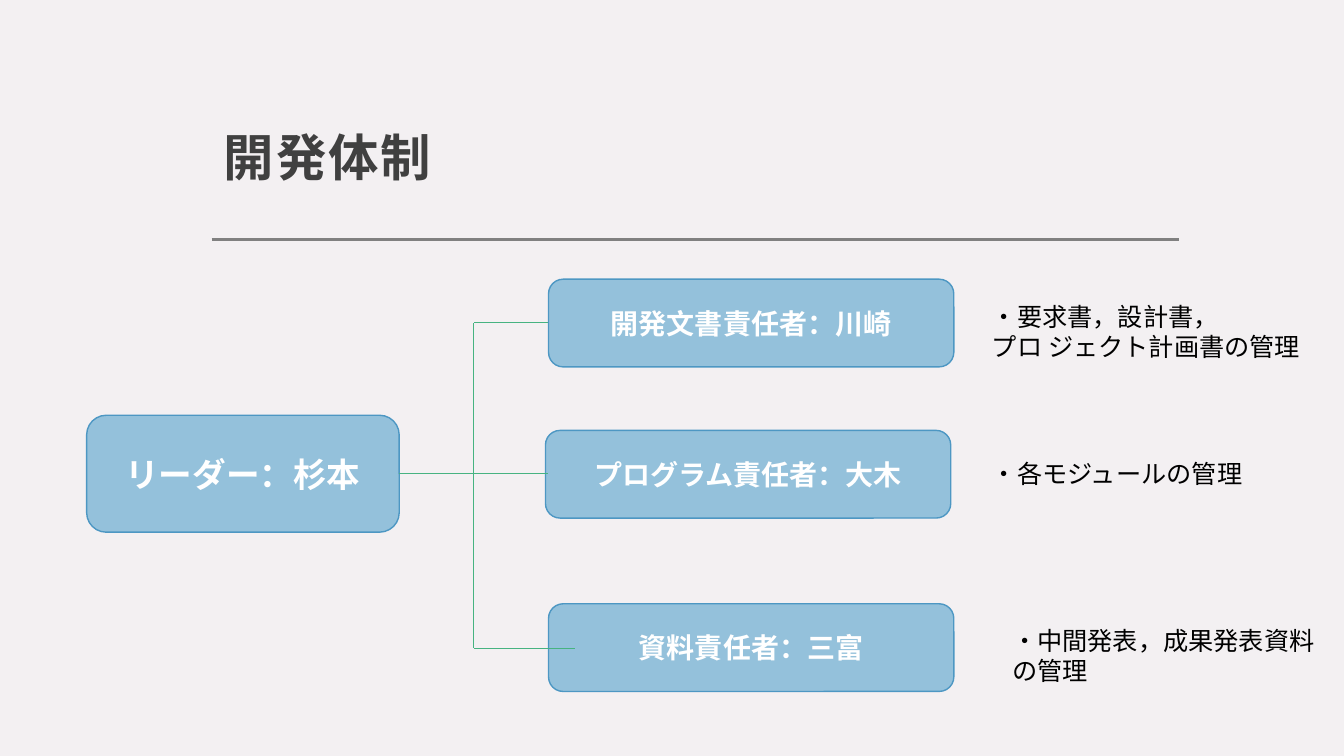
import pptx
import pptx.util
import pptx.dml.color
import pptx.enum.shapes
import pptx.enum.text
import pptx.oxml
import pptx.oxml.ns
import lxml.etree

RGBColor = pptx.dml.color.RGBColor
MSO_SHAPE = pptx.enum.shapes.MSO_SHAPE
ANCHOR = pptx.enum.text.MSO_ANCHOR
ALIGN = pptx.enum.text.PP_ALIGN
qn = pptx.oxml.ns.qn

BACKGROUND = RGBColor(0xF3, 0xF0, 0xF2)
RULE = RGBColor(0x80, 0x80, 0x80)
TITLE = RGBColor(0x40, 0x40, 0x40)
BOX_FILL = RGBColor(0x94, 0xC1, 0xDB)
BOX_LINE = RGBColor(0x4D, 0x97, 0xC3)
BRANCH = RGBColor(0x46, 0xB3, 0x81)
WHITE = RGBColor(0xFF, 0xFF, 0xFF)
BLACK = RGBColor(0x00, 0x00, 0x00)
FONT = "Noto Sans CJK JP"
EMU_PER_PX = 9144

TRUNK_X = 470
LEADER_Y = 470
BOX_W, BOX_H = 402, 87

ROLES = [
    ("開発文書責任者：川崎", 544, 277),
    ("プログラム責任者：大木", 541, 427),
    ("資料責任者：三富", 544, 599),
]
DUTIES = [
    (["・要求書，設計書，", "プロ ジェクト計画書の管理"], 974, 294, 336, 71),
    (["・各モジュールの管理"], 974, 450, 306, 40),
    (["・中間発表，成果発表資料の管理"], 994, 615, 336, 71),
]
BRANCHES = [
    (396, LEADER_Y, 544, LEADER_Y),
    (TRUNK_X, LEADER_Y, TRUNK_X, 320),
    (TRUNK_X, 320, 544, 320),
    (TRUNK_X, LEADER_Y, TRUNK_X, 643),
    (TRUNK_X, 643, 570, 643),
]


def px(n):
    return pptx.util.Emu(n * EMU_PER_PX)


def add_run(p, text, size, color, bold=False):
    r = p.add_run()
    r.text = text
    r.font.size = pptx.util.Pt(size)
    r.font.bold = bold
    r.font.color.rgb = color
    r.font.name = FONT
    ea = lxml.etree.SubElement(r.font._element, qn("a:ea"))
    ea.set("typeface", FONT)
    return r


def add_line(s, x1, y1, x2, y2, color, width):
    sp = s.shapes.add_connector(
        pptx.enum.shapes.MSO_CONNECTOR.STRAIGHT, px(x1), px(y1), px(x2), px(y2))
    sp.line.color.rgb = color
    sp.line.width = pptx.util.Pt(width)
    lxml.etree.SubElement(sp._element.spPr, qn("a:effectLst"))


def add_box(s, text, x, y, w, h, size):
    sp = s.shapes.add_shape(MSO_SHAPE.ROUNDED_RECTANGLE, px(x), px(y), px(w), px(h))
    sp.shadow.inherit = False
    sp.fill.solid()
    sp.fill.fore_color.rgb = BOX_FILL
    sp.line.color.rgb = BOX_LINE
    sp.line.width = pptx.util.Pt(1)
    tf = sp.text_frame
    tf.word_wrap = True
    tf.vertical_anchor = ANCHOR.MIDDLE
    p = tf.paragraphs[0]
    p.alignment = ALIGN.CENTER
    add_run(p, text, size, WHITE, True)


def add_title(s, text):
    tf = s.shapes.add_textbox(px(210), px(48), px(959), px(147)).text_frame
    tf.word_wrap = True
    tf.vertical_anchor = ANCHOR.BOTTOM
    tf.margin_left = tf.margin_top = tf.margin_right = px(12)
    tf.margin_bottom = px(10)
    p = tf.paragraphs[0]
    p.line_spacing = 1.1
    r = add_run(p, text, 36, TITLE, True)
    r.font._element.set("spc", "140")


def add_duty(s, lines, x, y, w, h):
    tf = s.shapes.add_textbox(px(x), px(y), px(w), px(h)).text_frame
    tf.word_wrap = True
    tf.auto_size = pptx.enum.text.MSO_AUTO_SIZE.SHAPE_TO_FIT_TEXT
    for i, line in enumerate(lines):
        p = tf.add_paragraph() if i else tf.paragraphs[0]
        add_run(p, line, 18, BLACK)


def main():
    prs = pptx.Presentation()
    prs.slide_width, prs.slide_height = px(1333), px(750)
    s = prs.slides.add_slide(prs.slide_layouts[6])
    s.background.fill.solid()
    s.background.fill.fore_color.rgb = BACKGROUND
    add_line(s, 210, 238, 1169, 238, RULE, 2)
    add_title(s, "開発体制")
    add_box(s, "リーダー：杉本", 86, 412, 310, 116, 24)
    for text, x, y in ROLES:
        add_box(s, text, x, y, BOX_W, BOX_H, 20)
    for ends in BRANCHES:
        add_line(s, *ends, BRANCH, 0.75)
    for duty in DUTIES:
        add_duty(s, *duty)
    prs.save("out.pptx")


if __name__ == "__main__":
    main()
